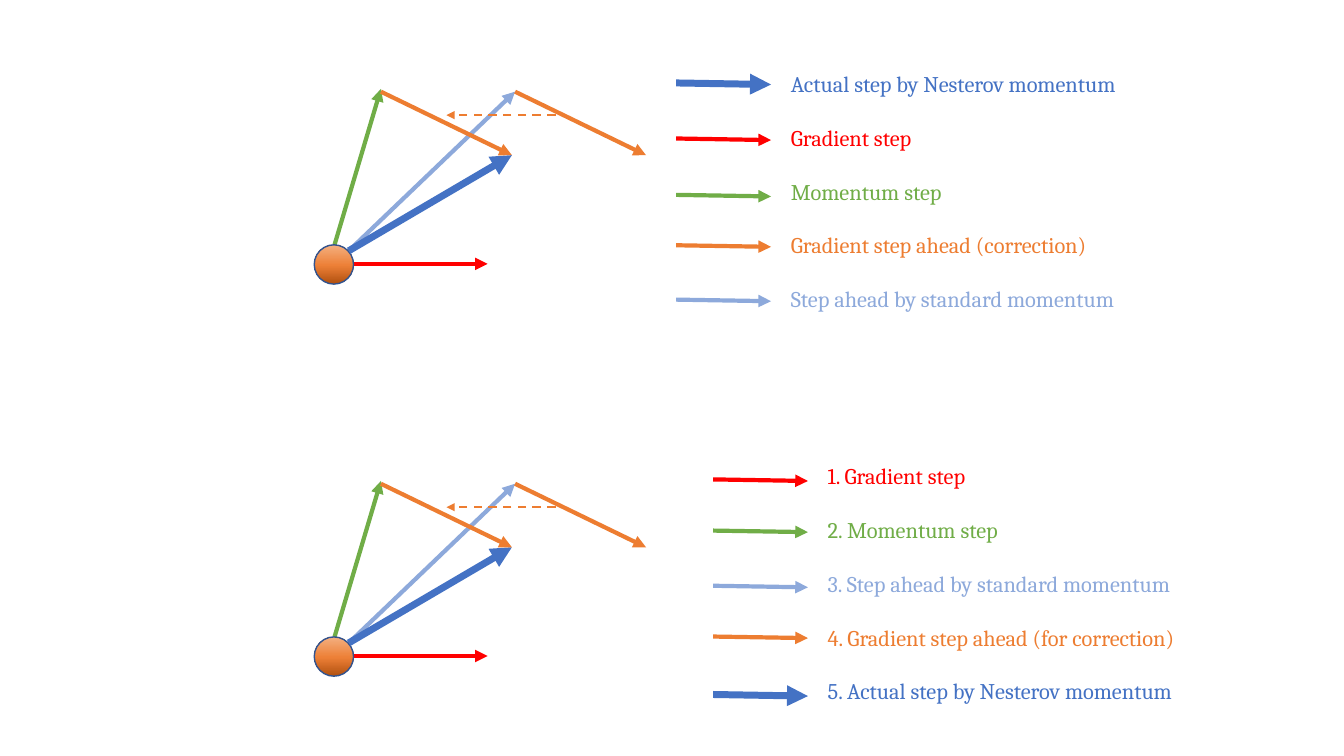
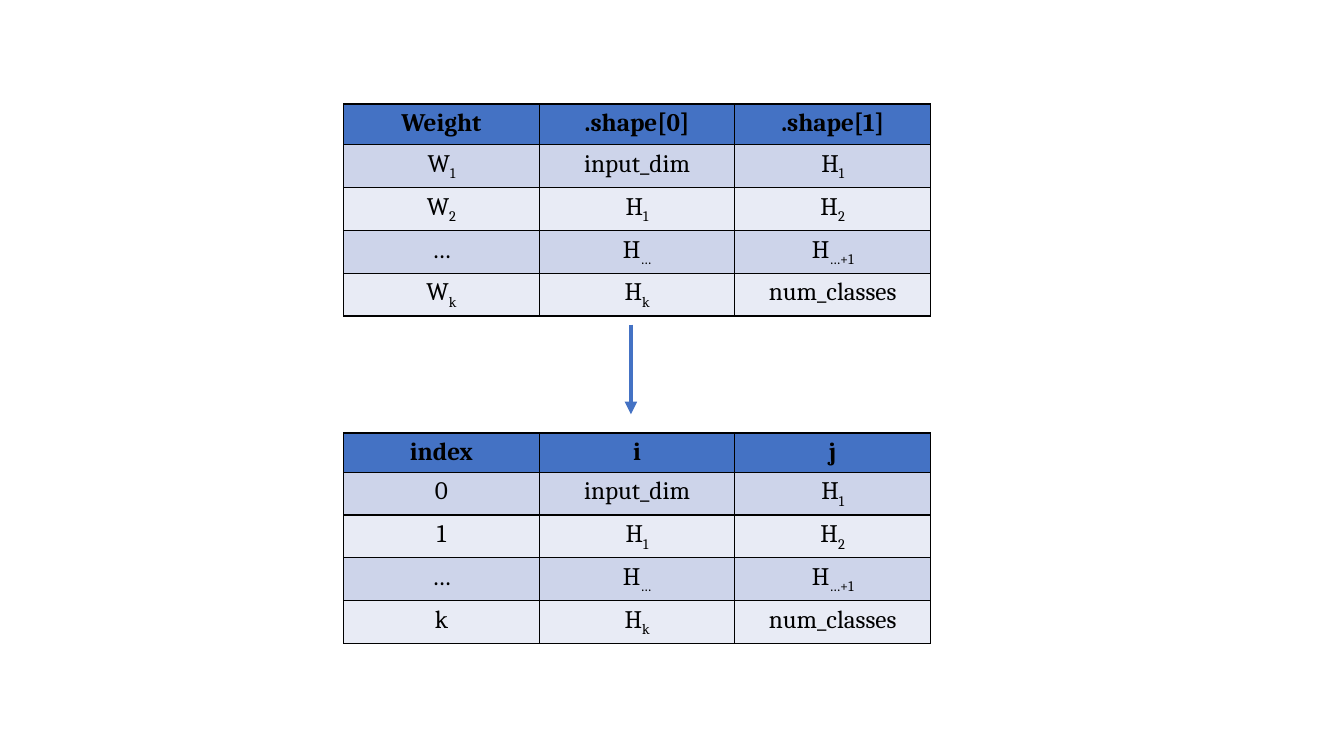
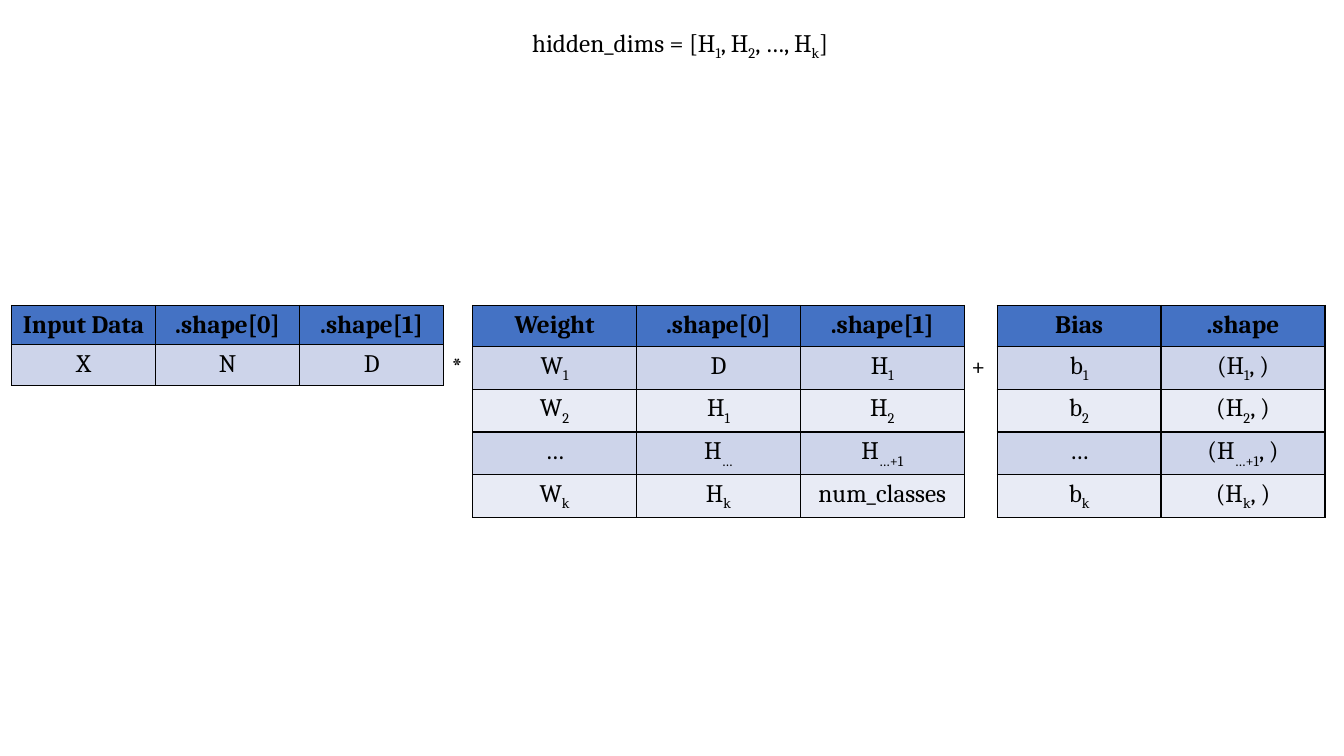
import copy

from lxml import etree
from pptx import Presentation
from pptx import util as u
from pptx.dml.color import RGBColor
from pptx.enum import dml, shapes, text
from pptx.oxml.ns import qn

FONT = "Cambria"
COLORS = {
    "actual": "4472C4", "gradient": "FF0000", "momentum": "70AD47",
    "ahead": "ED7D31", "standard": "8DA9DB", "ball_line": "31538F",
    "header": "4472C4", "band_dark": "CDD4EA", "band_light": "E8EBF5", "ink": "000000",
}
BALL_STOPS = [(0, "B0500F"), (0.48, "ED8037"), (1, "F4B081")]
BALL = (7.92, 6.17, 0.99)

STEPS_BEHIND = [
    ("gradient", (8.92, 6.65), (12.29, 6.65)),
    ("momentum", (8.43, 6.17), (9.6, 2.24)),
    ("standard", (8.79, 6.32), (12.98, 2.31)),
]
STEPS_IN_FRONT = [
    ("actual", (8.79, 6.32), (12.9, 3.91)),
    ("ahead", (12.98, 2.31), (16.28, 3.91)),
    ("ahead", (9.6, 2.31), (12.9, 3.91)),
]
CORRECTION_SHIFT = ((14, 2.9), (11.25, 2.9))

MOMENTUM_DIAGRAMS = [
    {"drop": 0, "legend_at": (17.04, 1.65), "legend": [
        ("actual", "Actual step by Nesterov momentum", 2.09),
        ("gradient", "Gradient step", 3.49),
        ("momentum", "Momentum step", 4.91),
        ("ahead", "Gradient step ahead (correction)", 6.18),
        ("standard", "Step ahead by standard momentum", 7.55),
    ]},
    {"drop": 9.88, "legend_at": (17.97, 11.53), "legend": [
        ("gradient", "1. Gradient step", 12.08),
        ("momentum", "2. Momentum step", 13.37),
        ("standard", "3. Step ahead by standard momentum", 14.76),
        ("ahead", "4. Gradient step ahead (for correction)", 16.04),
        ("actual", "5. Actual step by Nesterov momentum", 17.5),
    ]},
]

SHAPE_COLUMNS = [".shape[0]", ".shape[1]"]
WEIGHTS = ["W{1}", "W{2}", "…", "W{k}"]
HIDDEN_SIZES = [["H{1}", "H{2}"], ["H{…}", "H{…+1}"], ["H{k}", "num_classes"]]


def weight_rows(header, labels, input_size):
    sizes = [[input_size, "H{1}"]] + HIDDEN_SIZES
    return [header] + [[label] + size for label, size in zip(labels, sizes)]


INDEX_TABLES = [
    (8.66, 2.62, 4.93, 1.03,
     weight_rows(["Weight"] + SHAPE_COLUMNS, WEIGHTS, "input_dim")),
    (8.66, 10.91, 4.93, 0.64,
     weight_rows(["index", "i", "j"], ["0", "1", "…", "k"], "input_dim")),
]
INDEX_ARROW = ((15.9, 8.18), (15.9, 10.44))

LAYER_TABLES = [
    (11.91, 7.7, 4.13, 1.03,
     weight_rows(["Weight"] + SHAPE_COLUMNS, WEIGHTS, "D")),
    (0.29, 7.7, 3.63, 0.56,
     [["Input Data"] + SHAPE_COLUMNS, ["X", "N", "D"]]),
    (25.13, 7.7, 4.13, 1.03,
     [["Bias", ".shape"], ["b{1}", "(H{1}, )"], ["b{2}", "(H{2}, )"],
      ["…", "(H{…+1}, )"], ["b{k}", "(H{k}, )"]]),
]
LAYER_LABELS = [
    ("*", 11.13, 8.71, 0.84),
    ("+", 24.23, 8.71, 1.07),
    ("hidden_dims = [H{1}, H{2}, …, H{k}]", 13.16, 0.56, 8.81),
]
ROW_HEIGHT = 1.03


def rgb(name):
    return RGBColor.from_string(COLORS[name])


def write(paragraph, marked, size, color="ink", bold=False):
    for piece in marked.replace("}", "{").split("{"):
        paragraph.add_run().text = piece
    for position, run in enumerate(paragraph.runs):
        run.font.name = FONT
        run.font.size = u.Pt(size)
        run.font.bold = bold
        run.font.color.rgb = rgb(color)
        if position % 2:
            run.font._element.set("baseline", "-25000")
    for run in paragraph.runs:
        if not run.text:
            paragraph._p.remove(run._r)


def add_arrow(parent, start, end, role, dashed=False, drop=0):
    (x1, y1), (x2, y2) = start, end
    arrow = parent.shapes.add_connector(
        shapes.MSO_CONNECTOR.STRAIGHT,
        u.Cm(x1), u.Cm(y1 + drop), u.Cm(x2), u.Cm(y2 + drop))
    arrow.line.color.rgb = rgb(role)
    arrow.line.width = u.Pt(1.5 if dashed else 5 if role == "actual" else 3)
    if dashed:
        arrow.line.dash_style = dml.MSO_LINE.DASH
    outline = arrow.line._get_or_add_ln()
    etree.SubElement(outline, qn("a:tailEnd"), type="triangle")
    etree.SubElement(arrow._element.spPr, qn("a:effectLst"))


def add_ball(parent, drop):
    left, top, size = BALL
    ball = parent.shapes.add_shape(
        shapes.MSO_SHAPE.OVAL, u.Cm(left), u.Cm(top + drop), u.Cm(size), u.Cm(size))
    ball.shadow.inherit = False
    ball.line.color.rgb = rgb("ball_line")
    ball.line.width = u.Pt(1)
    ball.fill.gradient()
    ball.fill.gradient_angle = 90
    stops = ball._element.spPr.find(qn("a:gradFill")).find(qn("a:gsLst"))
    stops.append(copy.deepcopy(stops[-1]))
    for stop, (position, color) in zip(ball.fill.gradient_stops, BALL_STOPS):
        stop.position = position
        stop.color.rgb = RGBColor.from_string(color)


def add_text(slide, left, top, width, height):
    frame = slide.shapes.add_textbox(
        u.Cm(left), u.Cm(top), u.Cm(width), u.Cm(height)).text_frame
    frame.word_wrap = True
    return frame


def add_diagram(slide, drop, legend_at, legend):
    diagram = slide.shapes.add_group_shape()
    for role, start, end in STEPS_BEHIND:
        add_arrow(diagram, start, end, role, drop=drop)
    add_ball(diagram, drop)
    for role, start, end in STEPS_IN_FRONT:
        add_arrow(diagram, start, end, role, drop=drop)
    add_arrow(diagram, *CORRECTION_SHIFT, "ahead", dashed=True, drop=drop)

    left, top = legend_at
    frame = add_text(slide, left + 2.64, top, 11.76, 6.45)
    for number, (role, label, y) in enumerate(legend):
        paragraph = frame.add_paragraph() if number else frame.paragraphs[0]
        paragraph.space_before = u.Pt(19.2 if number else 0)
        write(paragraph, label, 16, role)
        add_arrow(slide, (left, y), (left + 2.39, y + 0.04), role)


def add_border(cell):
    properties = cell._tc.get_or_add_tcPr()
    for side in ("lnL", "lnR", "lnT", "lnB"):
        edge = etree.SubElement(properties, qn("a:" + side), w=str(u.Pt(1)))
        fill = etree.SubElement(edge, qn("a:solidFill"))
        etree.SubElement(fill, qn("a:srgbClr"), val=COLORS["ink"])


def add_grid(slide, left, top, column_width, header_height, rows):
    heights = [header_height] + [ROW_HEIGHT] * (len(rows) - 1)
    columns = len(rows[0])
    grid = slide.shapes.add_table(
        len(rows), columns, u.Cm(left), u.Cm(top),
        u.Cm(column_width * columns), u.Cm(sum(heights))).table
    for column in grid.columns:
        column.width = u.Cm(column_width)
    for r, (row, height) in enumerate(zip(rows, heights)):
        grid.rows[r].height = u.Cm(height)
        band = "header" if r == 0 else "band_dark" if r % 2 else "band_light"
        for c, entry in enumerate(row):
            cell = grid.cell(r, c)
            add_border(cell)
            cell.fill.solid()
            cell.fill.fore_color.rgb = rgb(band)
            paragraph = cell.text_frame.paragraphs[0]
            paragraph.alignment = text.PP_ALIGN.CENTER
            write(paragraph, entry, 18, bold=r == 0)


def main():
    deck = Presentation()
    deck.slide_width, deck.slide_height = u.Cm(33.87), u.Cm(19.05)
    momentum, index, layers = [
        deck.slides.add_slide(deck.slide_layouts[6]) for _ in range(3)]

    for diagram in MOMENTUM_DIAGRAMS:
        add_diagram(momentum, **diagram)

    for table in INDEX_TABLES:
        add_grid(index, *table)
    add_arrow(index, *INDEX_ARROW, "actual")
    index.shapes[-1].line.width = u.Pt(3)

    for table in LAYER_TABLES:
        add_grid(layers, *table)
    for label, left, top, width in LAYER_LABELS:
        write(add_text(layers, left, top, width, 1.02).paragraphs[0], label, 18)

    deck.save("out.pptx")


if __name__ == "__main__":
    main()
